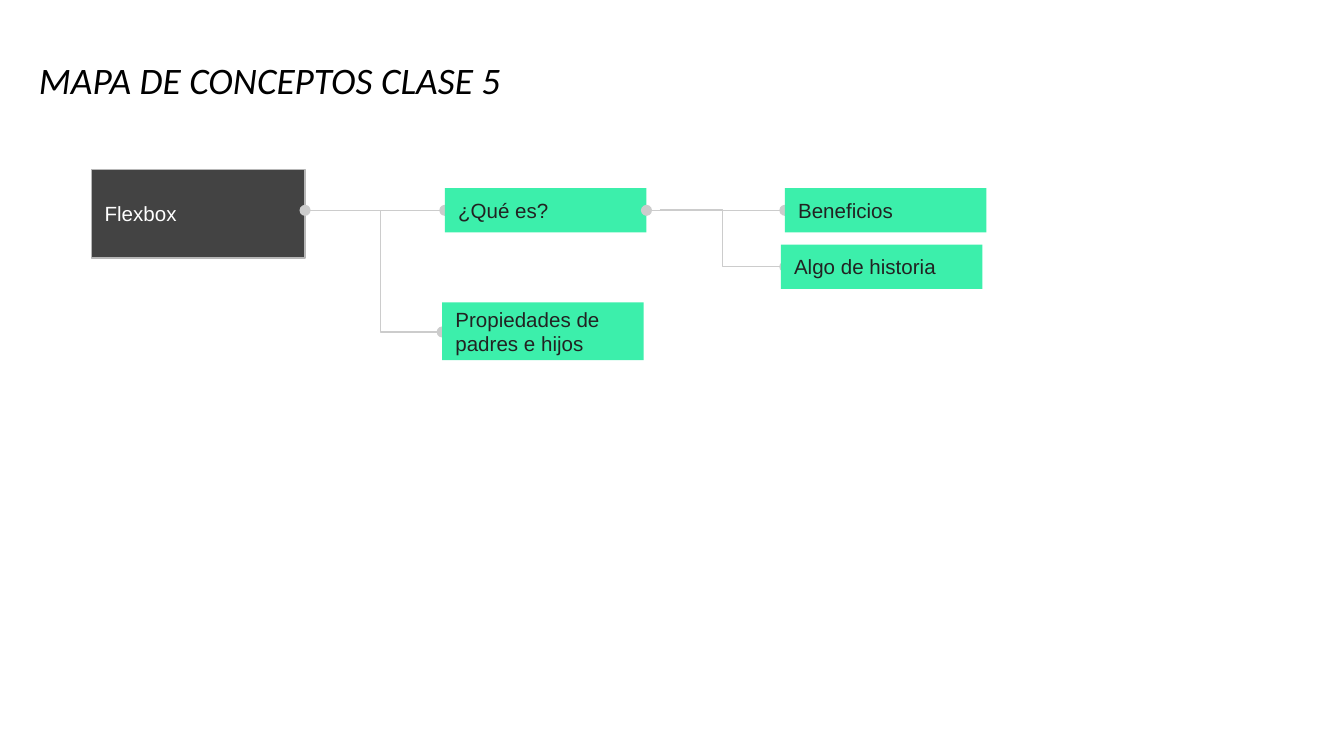
from dataclasses import dataclass

from lxml import etree
from pptx import Presentation
from pptx.dml.color import RGBColor
from pptx.enum.shapes import MSO_CONNECTOR, MSO_SHAPE
from pptx.enum.text import MSO_ANCHOR, MSO_AUTO_SIZE, PP_ALIGN
from pptx.oxml.ns import qn
from pptx.util import Inches, Pt

RECTANGLE = MSO_SHAPE.RECTANGLE
STRAIGHT = MSO_CONNECTOR.STRAIGHT
ELBOW = MSO_CONNECTOR.ELBOW
MIDDLE, BOTTOM = MSO_ANCHOR.MIDDLE, MSO_ANCHOR.BOTTOM
NO_AUTOFIT = MSO_AUTO_SIZE.NONE
ALIGN_LEFT = PP_ALIGN.LEFT
LEFT_SIDE, RIGHT_SIDE = 1, 3
GREEN, DARK, GREY, LINK_GREY = "3CEFAB", "434343", "B7B7B7", "CCCCCC"
INK, WHITE, BLACK = "222222", "FFFFFF", "000000"


@dataclass(frozen=True)
class Concept:
    label: str
    left: float
    top: float
    width: float = 1.5
    height: float = 0.33
    fill: str = GREEN
    ink: str = INK
    border: str | None = None

    @property
    def right(self) -> float:
        return self.left + self.width

    @property
    def middle(self) -> float:
        return self.top + self.height / 2


def color(value: str) -> RGBColor:
    return RGBColor.from_string(value)


def write(shape, text: str, *, size: float = 11, font: str = "Arial",
          ink: str = INK, italic: bool = False, anchor=MIDDLE) -> None:
    frame = shape.text_frame
    frame.word_wrap = True
    frame.auto_size = NO_AUTOFIT
    frame.vertical_anchor = anchor
    frame.margin_left = frame.margin_right = Inches(0.1)
    frame.margin_top = frame.margin_bottom = Inches(0.1)
    paragraph = frame.paragraphs[0]
    paragraph.alignment = ALIGN_LEFT
    run = paragraph.add_run()
    run.text = text
    run.font.size = Pt(size)
    run.font.name = font
    run.font.italic = italic
    run.font.color.rgb = color(ink)


def draw_concept(slide, concept: Concept):
    box = slide.shapes.add_shape(
        RECTANGLE, Inches(concept.left), Inches(concept.top),
        Inches(concept.width), Inches(concept.height))
    box.shadow.inherit = False
    box.fill.solid()
    box.fill.fore_color.rgb = color(concept.fill)
    if concept.border:
        box.line.color.rgb = color(concept.border)
        box.line.width = Pt(0.75)
    else:
        box.line.fill.background()
    write(box, concept.label, ink=concept.ink)
    return box


def draw_link(slide, kind, start: tuple[float, float], end: tuple[float, float],
              behind, ovals: tuple[str, ...]):
    link = slide.shapes.add_connector(kind, *map(Inches, start + end))
    link.line.color.rgb = color(LINK_GREY)
    link.line.width = Pt(0.75)
    outline = link.line._ln
    for oval in ovals:
        etree.SubElement(outline, qn(oval), type="oval")
    etree.SubElement(link._element.spPr, qn("a:effectLst"))
    behind._element.addprevious(link._element)
    return link


def main() -> None:
    deck = Presentation()
    deck.slide_width, deck.slide_height = Inches(10), Inches(10 * 9 / 16)
    slide = deck.slides.add_slide(deck.slide_layouts[5])

    title = slide.shapes.title
    title.left, title.top = Inches(0.19), Inches(0.4)
    title.width, title.height = Inches(8.26), Inches(0.46)
    write(title, "MAPA DE CONCEPTOS CLASE 5", size=20, font="Calibri",
          ink=BLACK, italic=True, anchor=BOTTOM)

    flexbox = Concept("Flexbox", 0.68, 1.26, 1.59, 0.66, DARK, WHITE, GREY)
    what = Concept("¿Qué es?", 3.31, 1.4)
    properties = Concept("Propiedades de padres e hijos", 3.29, 2.25, height=0.43)
    benefits = Concept("Beneficios", 5.84, 1.4)
    history = Concept("Algo de historia", 5.81, 1.82)
    concepts = (flexbox, what, properties, benefits, history)
    boxes = {concept: draw_concept(slide, concept) for concept in concepts}

    both_ends, far_end = ("a:headEnd", "a:tailEnd"), ("a:tailEnd",)
    for source, target in ((flexbox, what), (what, benefits)):
        link = draw_link(slide, STRAIGHT, (source.right, target.middle),
                         (target.left, target.middle), boxes[target], both_ends)
        if source.middle == target.middle:
            link.begin_connect(boxes[source], RIGHT_SIDE)
        link.end_connect(boxes[target], LEFT_SIDE)

    for start, end, target in (
        ((2.37, what.middle), (3.29, 2.47), properties),
        ((4.91, 1.56), (5.84, history.middle), history),
    ):
        draw_link(slide, ELBOW, start, end, boxes[target], far_end)

    deck.save("out.pptx")


if __name__ == "__main__":
    main()
